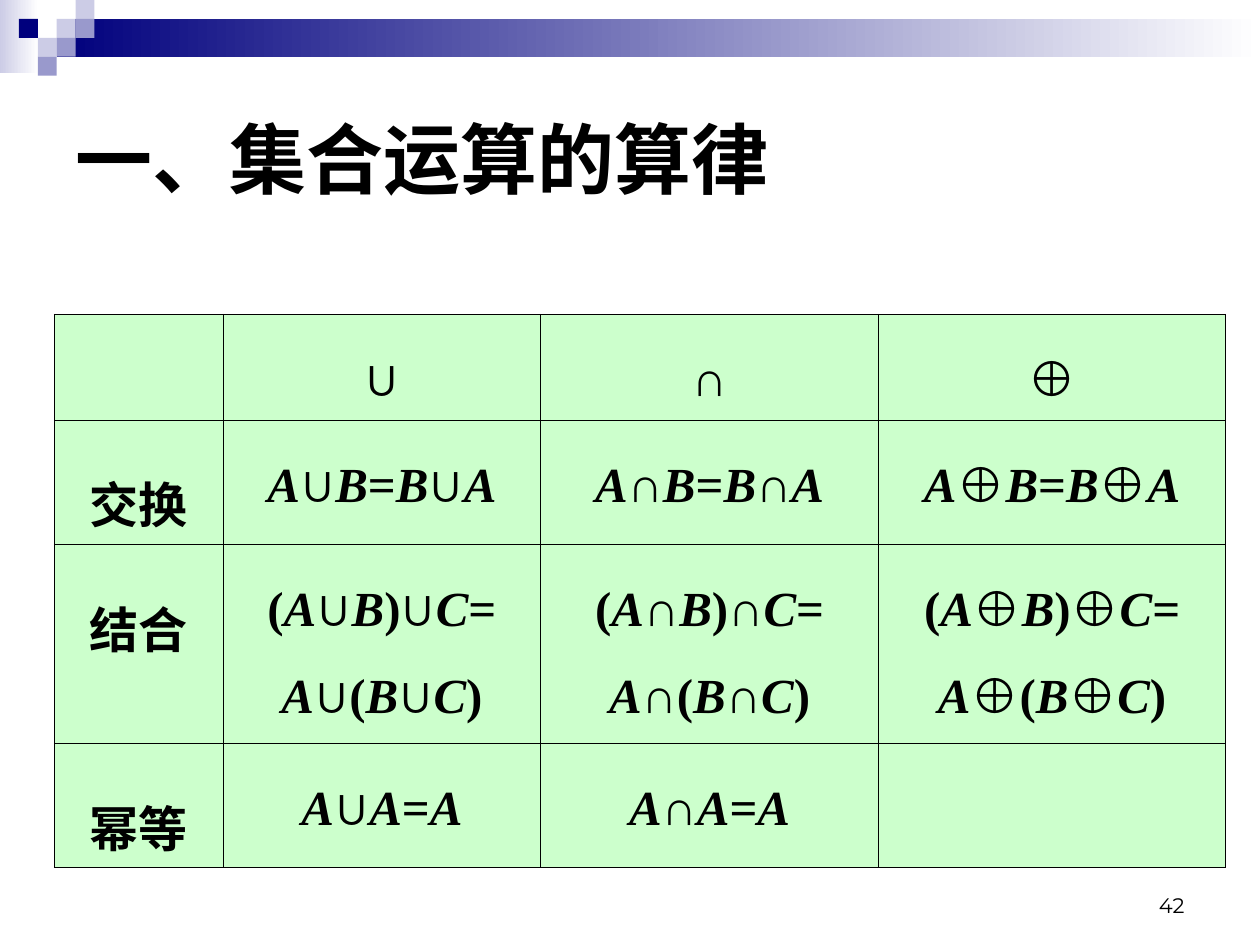
import itertools

import pptx
import pptx.dml.color
import pptx.enum.shapes
import pptx.enum.text
import pptx.oxml
import pptx.oxml.ns
import pptx.util

Pt = pptx.util.Pt
ALIGN = pptx.enum.text.PP_ALIGN
ANCHOR = pptx.enum.text.MSO_ANCHOR

OPERATORS = "∪∩⊕"
LAWS = [
    ("", ["{0}"], 60.5),
    ("交换", ["A{0}B=B{0}A"], 60.5),
    ("结合", ["(A{0}B){0}C=", "A{0}(B{0}C)"], 113.5),
    ("幂等", ["A{0}A=A"], 60.5),
]
COLUMN_WIDTHS = [96.5, 181.5, 193, 198.5]
SQUARE = 10.8
SQUARES = [
    (3, 1, "CCCCE6"), (4, 0, "CCCCE6"), (4, 1, "9999CC"), (2, 2, "CCCCE6"),
    (1, 1, "00007D"), (3, 2, "9999CC"), (2, 3, "9999CC"),
]


def color(value):
    return pptx.dml.color.RGBColor.from_string(value)


def apply_format(target, values):
    for name, value in values.items():
        setattr(target, name, value)


def place(shape, left, top, width, height):
    sides = dict(left=left, top=top, width=width, height=height)
    apply_format(shape, {name: Pt(value) for name, value in sides.items()})


def add_span(para, text, size, font, bold=False, italic=False):
    span = para.add_run()
    span.text = text
    apply_format(span.font, dict(size=Pt(size), name=font, bold=bold, italic=italic))
    span.font.color.rgb = color("000000")


def add_block(group, left, top, width, height, *colors):
    block = group.shapes.add_shape(
        pptx.enum.shapes.MSO_SHAPE.RECTANGLE, Pt(left), Pt(top), Pt(width), Pt(height))
    block.shadow.inherit = False
    block.line.fill.background()
    if len(colors) == 1:
        block.fill.solid()
        block.fill.fore_color.rgb = color(colors[0])
        return
    block.fill.gradient()
    block.fill.gradient_angle = 0
    for stop, value in zip(block.fill.gradient_stops, colors):
        stop.color.rgb = color(value)


def add_banner(page):
    group = page.shapes.add_group_shape()
    add_block(group, 0, 0, 22, 42, "CCCCE6", "FFFFFF")
    add_block(group, 3 * SQUARE, SQUARE, 720 - 3 * SQUARE, 2 * SQUARE, "00007D", "FFFFFF")
    for column, row, value in SQUARES:
        add_block(group, column * SQUARE, row * SQUARE, SQUARE, SQUARE, value)


def add_title(page, text):
    title = page.shapes.title
    place(title, 36, 36, 648, 108)
    apply_format(title.text_frame, dict(
        vertical_anchor=ANCHOR.MIDDLE, word_wrap=True,
        auto_size=pptx.enum.text.MSO_AUTO_SIZE.NONE))
    para = title.text_frame.paragraphs[0]
    para.alignment = ALIGN.LEFT
    add_span(para, text, 44, "Arial", bold=True)


def character_kind(character):
    if character in OPERATORS:
        return "Arial", False
    return "Times New Roman", character in "ABC"


def write_formula(para, formula):
    apply_format(para, dict(alignment=ALIGN.CENTER, line_spacing=1.58))
    properties = para._p.get_or_add_pPr()
    properties.set("marL", str(Pt(27)))
    properties.set("indent", str(Pt(-27)))
    for (font, italic), characters in itertools.groupby(formula, character_kind):
        add_span(para, "".join(characters), 28, font, bold=True, italic=italic)


def style_cell(cell):
    properties = cell._tc.get_or_add_tcPr()
    for side in ("lnL", "lnR", "lnT", "lnB"):
        properties.append(pptx.oxml.parse_xml(
            f'<a:{side} {pptx.oxml.ns.nsdecls("a")} w="{Pt(0.45)}"><a:solidFill>'
            f'<a:srgbClr val="000000"/></a:solidFill></a:{side}>'))
    cell.fill.solid()
    cell.fill.fore_color.rgb = color("CCFFCC")


def fill_cell(cell, lines):
    style_cell(cell)
    for index, line in enumerate(lines):
        frame = cell.text_frame
        para = frame.add_paragraph() if index else frame.paragraphs[0]
        write_formula(para, line)


def add_law_table(page):
    heights = [height for _, _, height in LAWS]
    table = page.shapes.add_table(
        len(LAWS), len(COLUMN_WIDTHS), Pt(31), Pt(179.5),
        Pt(sum(COLUMN_WIDTHS)), Pt(sum(heights))).table
    apply_format(table, dict(first_row=False, horz_banding=False))
    for column, width in zip(table.columns, COLUMN_WIDTHS):
        column.width = Pt(width)
    for row, (label, patterns, height) in zip(table.rows, LAWS):
        row.height = Pt(height)
        fill_cell(row.cells[0], [label] if label else [])
        for index, operator in enumerate(OPERATORS, 1):
            missing = label == "幂等" and operator == "⊕"
            lines = [] if missing else [pattern.format(operator) for pattern in patterns]
            fill_cell(row.cells[index], lines)


def add_page_number(page, text):
    box = page.shapes.add_textbox(Pt(516), Pt(492), Pt(168), Pt(36))
    apply_format(box.text_frame, dict(word_wrap=True, vertical_anchor=ANCHOR.BOTTOM))
    para = box.text_frame.paragraphs[0]
    para.alignment = ALIGN.RIGHT
    add_span(para, text, 12, "Montserrat")


def main():
    deck = pptx.Presentation()
    apply_format(deck, dict(slide_width=Pt(720), slide_height=Pt(540)))
    page = deck.slides.add_slide(deck.slide_layouts[5])
    add_banner(page)
    add_title(page, "一、集合运算的算律")
    add_law_table(page)
    add_page_number(page, "42")
    deck.save("out.pptx")


if __name__ == "__main__":
    main()
